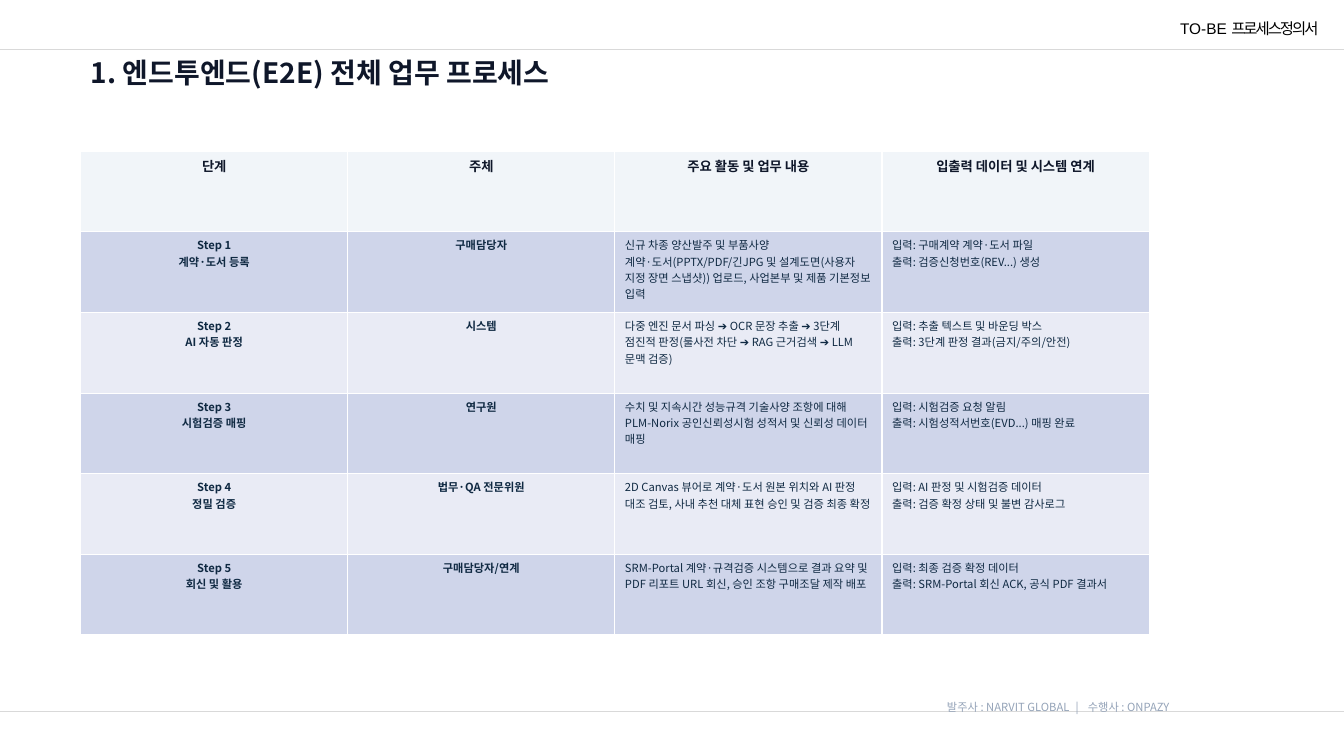
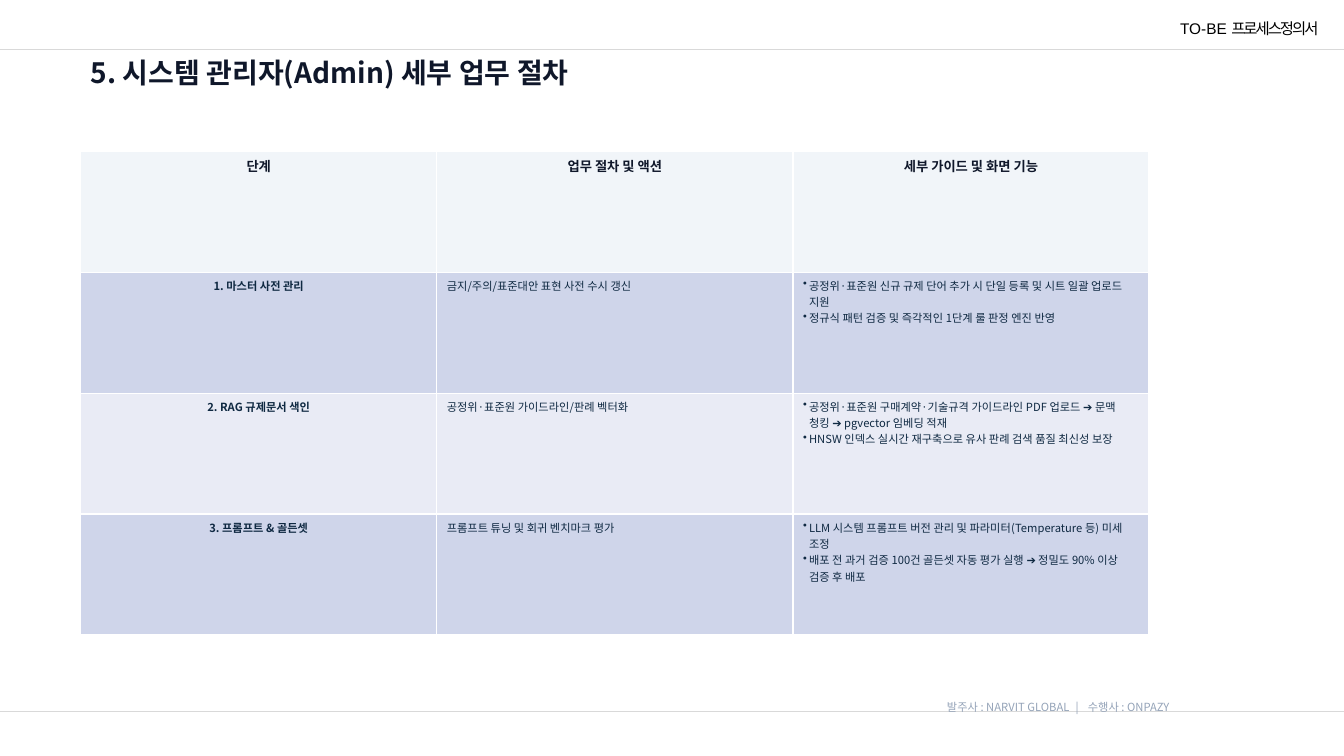
from dataclasses import dataclass

from lxml.etree import SubElement
from pptx import Presentation
from pptx.dml.color import RGBColor
from pptx.enum.shapes import MSO_CONNECTOR as Connector
from pptx.enum.text import MSO_ANCHOR as Anchor, MSO_AUTO_SIZE as AutoSize, PP_ALIGN as Align
from pptx.oxml.ns import qn
from pptx.util import Inches, Length, Pt


@dataclass(frozen=True)
class Theme:
    font: str = "Noto Sans CJK KR"
    band_font: str = "Arial"
    title: str = "0F172A"
    body: str = "0F2942"
    band: str = "000000"
    footer: str = "94A3B8"
    rule: str = "D9D9D9"
    header_fill: str = "F1F5F9"
    row_fills: tuple[str, str] = ("CFD5EA", "E9EBF5")
    title_size: float = 20
    band_size: float = 11
    header_size: float = 9.5
    body_size: float = 8
    rule_width: float = 0.5


@dataclass(frozen=True)
class Box:
    column: float
    row: float
    columns: float
    rows: float

    def place(self) -> tuple[Length, Length, Length, Length]:
        return unit(self.column), unit(self.row), unit(self.columns), unit(self.rows)


@dataclass(frozen=True)
class Style:
    size: float
    color: str
    bold: bool = False
    font: str = "Noto Sans CJK KR"
    spacing: float = 0


@dataclass(frozen=True)
class Procedure:
    title: str
    headers: tuple[str, ...]
    centered: int
    rows: tuple[tuple[str, ...], ...]


THEME = Theme()
SLIDE_COLUMNS, SLIDE_ROWS = 133.33, 75
TITLE_BOX = Box(8, 5, 105, 8)
TABLE_BOX = Box(8, 15, 106, 48)
BAND_BOX = Box(101.8, 1.4, 30, 2.9)
FOOTER_BOX = Box(85, 69, 32, 4)
RULE_ROWS = (4.9, 70.6)
BULLET = "• "
BULLET_INDENT = Inches(0.06)

TITLE = Style(THEME.title_size, THEME.title, True)
HEADER = Style(THEME.header_size, THEME.title, True)
LABEL = Style(THEME.body_size, THEME.body, True)
BODY = Style(THEME.body_size, THEME.body)
FOOTER = Style(THEME.body_size, THEME.footer)
DIVIDER = Style(THEME.body_size, THEME.footer, spacing=2.4)
BAND = Style(THEME.band_size, THEME.band, font=THEME.band_font)
BAND_TIGHT = Style(THEME.band_size, THEME.band, font=THEME.band_font, spacing=-1.5)

PROCEDURES = (
    Procedure(
        "1. 엔드투엔드(E2E) 전체 업무 프로세스",
        ("단계", "주체", "주요 활동 및 업무 내용", "입출력 데이터 및 시스템 연계"),
        2,
        (
            ("Step 1\n계약·도서 등록", "구매담당자",
             "신규 차종 양산발주 및 부품사양 계약·도서(PPTX/PDF/긴JPG 및 설계도면(사용자 지정 장면 스냅샷)) "
             "업로드, 사업본부 및 제품 기본정보 입력",
             "입력: 구매계약 계약·도서 파일\n출력: 검증신청번호(REV...) 생성"),
            ("Step 2\nAI 자동 판정", "시스템",
             "다중 엔진 문서 파싱 ➔ OCR 문장 추출 ➔ 3단계 점진적 판정(룰사전 차단 ➔ RAG 근거검색 ➔ LLM 문맥 검증)",
             "입력: 추출 텍스트 및 바운딩 박스\n출력: 3단계 판정 결과(금지/주의/안전)"),
            ("Step 3\n시험검증 매핑", "연구원",
             "수치 및 지속시간 성능규격 기술사양 조항에 대해 PLM-Norix 공인신뢰성시험 성적서 및 신뢰성 데이터 매핑",
             "입력: 시험검증 요청 알림\n출력: 시험성적서번호(EVD...) 매핑 완료"),
            ("Step 4\n정밀 검증", "법무·QA 전문위원",
             "2D Canvas 뷰어로 계약·도서 원본 위치와 AI 판정 대조 검토, 사내 추천 대체 표현 승인 및 검증 최종 확정",
             "입력: AI 판정 및 시험검증 데이터\n출력: 검증 확정 상태 및 불변 감사로그"),
            ("Step 5\n회신 및 활용", "구매담당자/연계",
             "SRM-Portal 계약·규격검증 시스템으로 결과 요약 및 PDF 리포트 URL 회신, 승인 조항 구매조달 제작 배포",
             "입력: 최종 검증 확정 데이터\n출력: SRM-Portal 회신 ACK, 공식 PDF 결과서"),
        ),
    ),
    Procedure(
        "5. 시스템 관리자(Admin) 세부 업무 절차",
        ("단계", "업무 절차 및 액션", "세부 가이드 및 화면 기능"),
        1,
        (
            ("1. 마스터 사전 관리", "금지/주의/표준대안 표현 사전 수시 갱신",
             "• 공정위·표준원 신규 규제 단어 추가 시 단일 등록 및 시트 일괄 업로드 지원\n"
             "• 정규식 패턴 검증 및 즉각적인 1단계 룰 판정 엔진 반영"),
            ("2. RAG 규제문서 색인", "공정위·표준원 가이드라인/판례 벡터화",
             "• 공정위·표준원 구매계약·기술규격 가이드라인 PDF 업로드 ➔ 문맥 청킹 ➔ pgvector 임베딩 적재\n"
             "• HNSW 인덱스 실시간 재구축으로 유사 판례 검색 품질 최신성 보장"),
            ("3. 프롬프트 & 골든셋", "프롬프트 튜닝 및 회귀 벤치마크 평가",
             "• LLM 시스템 프롬프트 버전 관리 및 파라미터(Temperature 등) 미세 조정\n"
             "• 배포 전 과거 검증 100건 골든셋 자동 평가 실행 ➔ 정밀도 90% 이상 검증 후 배포"),
        ),
    ),
)


def unit(count: float) -> Length:
    return Inches(count / 10)


def color(value: str) -> RGBColor:
    return RGBColor.from_string(value)


def add_run(paragraph, text: str, style: Style) -> None:
    run = paragraph.add_run()
    run.text = text
    font = run.font
    font.name, font.size, font.bold = style.font, Pt(style.size), style.bold
    font.color.rgb = color(style.color)
    properties = font._element
    SubElement(properties, qn("a:ea")).set("typeface", style.font)
    if style.spacing:
        properties.set("spc", str(round(style.spacing * 100)))


def add_bullet(paragraph) -> None:
    properties = paragraph._p.get_or_add_pPr()
    properties.set("marL", str(BULLET_INDENT))
    properties.set("indent", str(-BULLET_INDENT))
    SubElement(properties, qn("a:buChar")).set("char", BULLET.strip())


def add_text(slide, box: Box, runs: tuple[tuple[str, Style], ...]):
    shape = slide.shapes.add_textbox(*box.place())
    shape.text_frame.word_wrap = True
    paragraph = shape.text_frame.paragraphs[0]
    paragraph.alignment = Align.RIGHT
    for text, style in runs:
        add_run(paragraph, text, style)
    return shape


def add_rule(slide, row: float):
    line = slide.shapes.add_connector(
        Connector.STRAIGHT, 0, unit(row), unit(SLIDE_COLUMNS), unit(row))
    line.line.color.rgb = color(THEME.rule)
    line.line.width = Pt(THEME.rule_width)
    SubElement(line.element.spPr, qn("a:effectLst"))
    return line


def furnish_layout(layout, slide) -> None:
    title = layout.placeholders[0]
    title.left, title.top, title.width, title.height = TITLE_BOX.place()
    shared = [
        add_text(slide, BAND_BOX, (("TO-BE ", BAND), ("프로세스정의서", BAND_TIGHT))),
        *(add_rule(slide, row) for row in RULE_ROWS),
    ]
    for shape in shared:
        layout.shapes.element.append(shape.element)


def fill_title(slide, text: str) -> None:
    frame = slide.shapes.title.text_frame
    frame.auto_size = AutoSize.NONE
    frame.word_wrap = True
    frame.vertical_anchor = Anchor.TOP
    paragraph = frame.paragraphs[0]
    paragraph.alignment = Align.LEFT
    add_run(paragraph, text, TITLE)


def fill_cell(cell, text: str, fill: str, style: Style, alignment: Align) -> None:
    cell.fill.solid()
    cell.fill.fore_color.rgb = color(fill)
    frame = cell.text_frame
    for index, line in enumerate(text.split("\n")):
        paragraph = frame.add_paragraph() if index else frame.paragraphs[0]
        paragraph.alignment = alignment
        if line.startswith(BULLET):
            add_bullet(paragraph)
        add_run(paragraph, line.removeprefix(BULLET), style)


def add_procedure_table(slide, procedure: Procedure) -> None:
    row_count, column_count = len(procedure.rows) + 1, len(procedure.headers)
    table = slide.shapes.add_table(row_count, column_count, *TABLE_BOX.place()).table
    for column, text in enumerate(procedure.headers):
        fill_cell(table.cell(0, column), text, THEME.header_fill, HEADER, Align.CENTER)
    for row, texts in enumerate(procedure.rows):
        for column, text in enumerate(texts):
            is_label = column < procedure.centered
            fill_cell(table.cell(row + 1, column), text, THEME.row_fills[row % 2],
                      LABEL if is_label else BODY, Align.CENTER if is_label else Align.LEFT)


def main() -> None:
    presentation = Presentation()
    presentation.slide_width, presentation.slide_height = unit(SLIDE_COLUMNS), unit(SLIDE_ROWS)
    layout = presentation.slide_layouts.get_by_name("Title Only")
    for index, procedure in enumerate(PROCEDURES):
        slide = presentation.slides.add_slide(layout)
        if index == 0:
            furnish_layout(layout, slide)
        fill_title(slide, procedure.title)
        add_text(slide, FOOTER_BOX, (
            ("발주사 : NARVIT GLOBAL", FOOTER), (" | ", DIVIDER), ("수행사 : ONPAZY", FOOTER)))
        add_procedure_table(slide, procedure)
    presentation.save("out.pptx")


if __name__ == "__main__":
    main()
